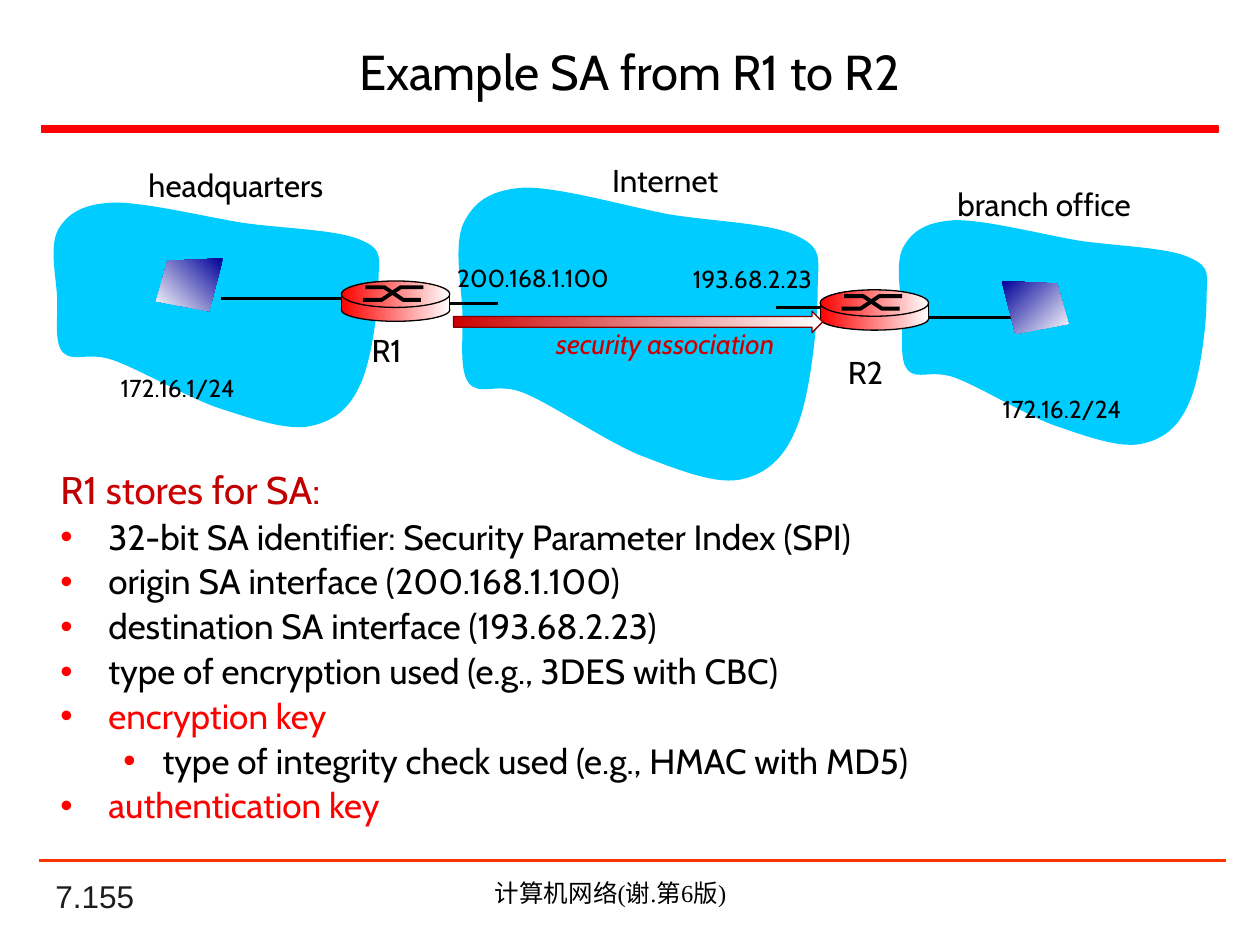
from lxml import etree
from pptx import Presentation
from pptx.dml.color import RGBColor
from pptx.enum.shapes import MSO_CONNECTOR as Connector, MSO_SHAPE as Shape
from pptx.enum.text import MSO_ANCHOR as Anchor, MSO_AUTO_SIZE as AutoSize, PP_ALIGN as Align
from pptx.oxml.ns import qn
from pptx.util import Inches, Pt

COLORS = {
    "black": "000000", "white": "FFFFFF", "ink": "1C1C1C", "red": "FF0000",
    "rule": "FF3300", "crimson": "CC0000", "wine": "C00000", "maroon": "800000",
    "cloud": "00CCFF", "navy": "000099",
}

# Start point, then three points for each curve, on a 293 x 236 grid
CLOUD_GRID = (293, 236)
CLOUD_POINTS = [
    (55, 1),
    (28, 3), (16, 13), (8, 29), (0, 46), (6, 77), (7, 98),
    (8, 120), (4, 145), (12, 156), (21, 167), (34, 155), (56, 164),
    (78, 173), (119, 201), (147, 213), (176, 224), (205, 236), (226, 233),
    (247, 229), (262, 217), (272, 192), (283, 167), (289, 109), (289, 84),
    (289, 58), (294, 50), (274, 40), (254, 29), (206, 28), (170, 22),
    (134, 15), (82, 0), (55, 1),
]


def rgb(name):
    return RGBColor.from_string(COLORS[name])


class Painter:
    font = "Cabin"

    def __init__(self, page):
        self.page = page
        self.shapes = page.shapes

    def style(self, shape, fill=None, line=None, weight=0.75, angle=0):
        """Fill with one colour name, a pair for a gradient (clockwise angle), or nothing."""
        shape.shadow.inherit = False
        if fill is None:
            shape.fill.background()
        elif isinstance(fill, tuple):
            shape.fill.gradient()
            shape.fill.gradient_angle = -angle % 360
            for stop, name in zip(shape.fill.gradient_stops, fill):
                stop.color.rgb = rgb(name)
        else:
            shape.fill.solid()
            shape.fill.fore_color.rgb = rgb(fill)
        if line:
            shape.line.color.rgb = rgb(line)
            shape.line.width = Pt(weight)
        else:
            shape.line.fill.background()

    def preset(self, kind, left, top, width, height, **look):
        shape = self.shapes.add_shape(kind, Inches(left), Inches(top), Inches(width), Inches(height))
        self.style(shape, **look)
        return shape

    def outline(self, points, close=False, **look):
        spots = [(Inches(x), Inches(y)) for x, y in points]
        builder = self.shapes.build_freeform(*spots[0])
        builder.add_line_segments(spots[1:], close=close)
        shape = builder.convert_to_shape()
        self.style(shape, **look)
        return shape

    def line(self, x1, y1, x2, y2, weight=2, color="black"):
        link = self.shapes.add_connector(
            Connector.STRAIGHT, Inches(x1), Inches(y1), Inches(x2), Inches(y2))
        link.line.color.rgb = rgb(color)
        link.line.width = Pt(weight)
        etree.SubElement(link.element.spPr, qn("a:effectLst"))

    def span(self, para, text, size, color, font=None, italic=None):
        run = para.add_run()
        run.text = text
        run.font.name = font or self.font
        run.font.size = Pt(size)
        run.font.color.rgb = rgb(color)
        run.font.italic = italic

    def text(self, text, left, top, width, height, size, color="black",
             align=Align.LEFT, anchor=Anchor.TOP, font=None, italic=None):
        box = self.shapes.add_textbox(Inches(left), Inches(top), Inches(width), Inches(height))
        frame = box.text_frame
        frame.word_wrap = True
        frame.vertical_anchor = anchor
        para = frame.paragraphs[0]
        para.alignment = align
        self.span(para, text, size, color, font, italic)

    def placeholder(self, holder, left, top, width, height, anchor):
        holder.left, holder.top = Inches(left), Inches(top)
        holder.width, holder.height = Inches(width), Inches(height)
        frame = holder.text_frame
        frame.word_wrap = True
        frame.auto_size = AutoSize.NONE
        frame.vertical_anchor = anchor
        return frame

    def title(self, text):
        frame = self.placeholder(self.shapes.title, 0.39, 0.22, 9.21, 0.69, Anchor.MIDDLE)
        para = frame.paragraphs[0]
        para.alignment = Align.CENTER
        self.span(para, text, 28, "black")

    def body(self, heading, items):
        frame = self.placeholder(self.page.placeholders[1], 0.38, 3.69, 9.24, 3.04, Anchor.TOP)
        para = frame.paragraphs[0]
        self.item(para, 0, bullet=False)
        para.space_before = Pt(0)
        for text, color in heading:
            self.span(para, text, 22, color)
        for level, text, color in items:
            para = frame.add_paragraph()
            self.item(para, level)
            para.space_before = Pt(4)
            self.span(para, text, 20, color)

    def item(self, para, level, bullet=True):
        """Set the indent, spacing and bullet of one list paragraph."""
        para.level = level
        para.line_spacing = 0.9
        margin, hang = [(0.38, 0.38), (0.81, 0.31)][level]
        props = para._p.get_or_add_pPr()
        props.set("marL", str(Inches(margin)))
        props.set("indent", str(-Inches(hang)))
        if bullet:
            tint = etree.SubElement(props, qn("a:buClr"))
            etree.SubElement(tint, qn("a:srgbClr"), val=COLORS["red"])
            etree.SubElement(props, qn("a:buFont"), typeface="Arial")
            etree.SubElement(props, qn("a:buChar"), char="•")
        else:
            etree.SubElement(props, qn("a:buNone"))

    def cloud(self, left, top, width, height):
        across, down = CLOUD_GRID
        points = [(left + x * width / across, top + y * height / down) for x, y in CLOUD_POINTS]
        shape = self.outline(points, close=True, fill="cloud")
        outline = next(shape.element.iter(qn("a:path")))
        segments = outline.findall(qn("a:lnTo"))[:len(CLOUD_POINTS) - 1]
        for start in range(0, len(segments), 3):
            curve = etree.Element(qn("a:cubicBezTo"))
            segments[start].addprevious(curve)
            for segment in segments[start:start + 3]:
                curve.append(segment[0])
                outline.remove(segment)

    def router(self, left, top):
        width, blend = 0.86, ("red", "white")
        self.preset(Shape.OVAL, left, top + 0.14, width, 0.18, fill=blend, line="black")
        self.preset(Shape.RECTANGLE, left, top + 0.12, width, 0.11, fill=blend)
        self.preset(Shape.OVAL, left, top, width, 0.21, fill=blend, line="black")
        high, low = top + 0.05, top + 0.15
        for offsets, first, last in [((0.17, 0.32, 0.47, 0.65), low, high),
                                     ((0.19, 0.34, 0.49, 0.63), high, low)]:
            points = zip([left + dx for dx in offsets], (first, first, last, last))
            self.outline(list(points), line="black", weight=2.25)
        for side in (left, left + width):
            self.line(side, top + 0.1, side, top + 0.24, 0.75)


def main():
    deck = Presentation()
    deck.slide_width, deck.slide_height = Inches(10), Inches(7.5)
    art = Painter(deck.slides.add_slide(deck.slide_layouts[1]))

    art.text("7.155", 0.34, 6.98, 2.08, 0.33, 18, "ink", anchor=Anchor.BOTTOM, font="Arial")
    art.preset(Shape.RECTANGLE, 0.33, 1, 9.34, 0.05, fill="red", line="red", weight=1)
    art.line(0.31, 6.83, 9.73, 6.83, 1.5, "rule")
    art.text("计算机网络(谢.第6版) ", 2.83, 6.92, 4.08, 0.34, 14,
             align=Align.CENTER, font="Times New Roman")

    art.title("Example SA from R1 to R2")
    art.body(
        [("R1 ", "wine"), ("stores ", "crimson"), ("for SA:", "wine")],
        [(0, "32-bit SA identifier: Security Parameter Index (SPI)", "black"),
         (0, "origin SA interface (200.168.1.100)", "black"),
         (0, "destination SA interface (193.68.2.23)", "black"),
         (0, "type of encryption used (e.g., 3DES with CBC)", "black"),
         (0, "encryption key", "red"),
         (1, "type of integrity check used (e.g., HMAC with MD5)", "black"),
         (0, "authentication key", "red")])

    for frame in [(7.1, 1.74, 2.51, 1.81), (0.39, 1.6, 2.65, 1.81), (3.6, 1.48, 2.93, 2.36)]:
        art.cloud(*frame)
    for x1, x2, y in [(1.75, 2.75, 2.37), (7.3, 8.16, 2.52), (3.47, 3.95, 2.41), (6.52, 6.16, 2.44)]:
        art.line(x1, y, x2, y)

    for label, left, top, width in [("193.68.2.23", 5.4, 2.05, 1.43), ("200.168.1.100", 3.53, 2.04, 1.65),
                                    ("172.16.1/24", 0.86, 2.91, 1.42), ("172.16.2/24", 7.86, 3.08, 1.45)]:
        art.text(label, left, top, width, 0.34, 14)
    art.text("security association ", 3.89, 2.54, 2.83, 0.38, 16, "crimson",
             align=Align.CENTER, italic=True)
    for label, left, top, width in [("Internet", 4.76, 1.23, 1.19), ("headquarters", 1.08, 1.27, 1.95),
                                    ("branch office", 7.5, 1.42, 1.9),
                                    ("R1", 2.85, 2.58, 0.59), ("R2", 6.63, 2.75, 0.59)]:
        art.text(label, left, top, width, 0.41, 18)

    host = [(0, 0), (0.44, 0.02), (0.53, 0.34), (0.11, 0.42)]
    for left, top, side, angle in [(1.77, 2.05, -1, 135), (7.95, 2.23, 1, 45)]:
        art.outline([(left + side * x, top + y) for x, y in host], close=True,
                    fill=("navy", "white"), angle=angle)
    art.router(6.51, 2.3)
    art.router(2.71, 2.23)
    art.preset(Shape.RIGHT_ARROW, 3.6, 2.47, 2.93, 0.17, fill=("crimson", "white"), line="maroon")

    deck.save("out.pptx")


if __name__ == "__main__":
    main()
